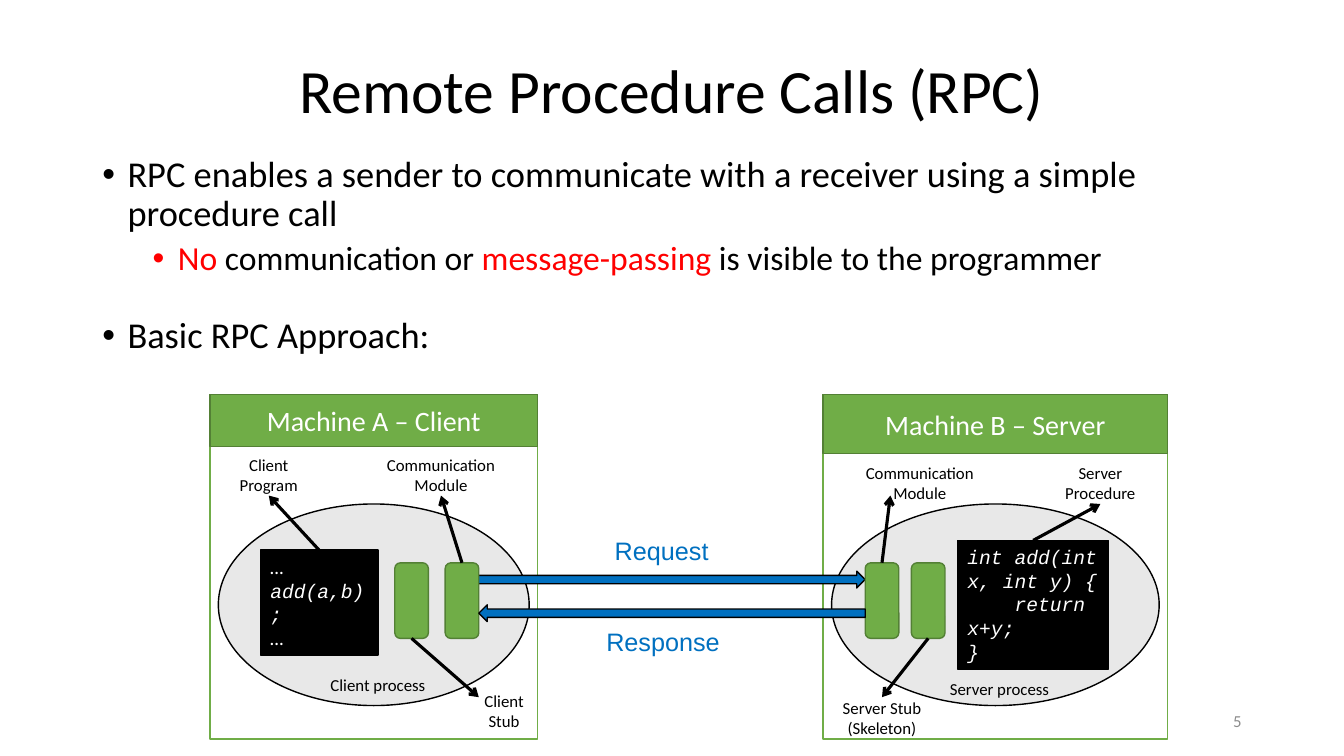
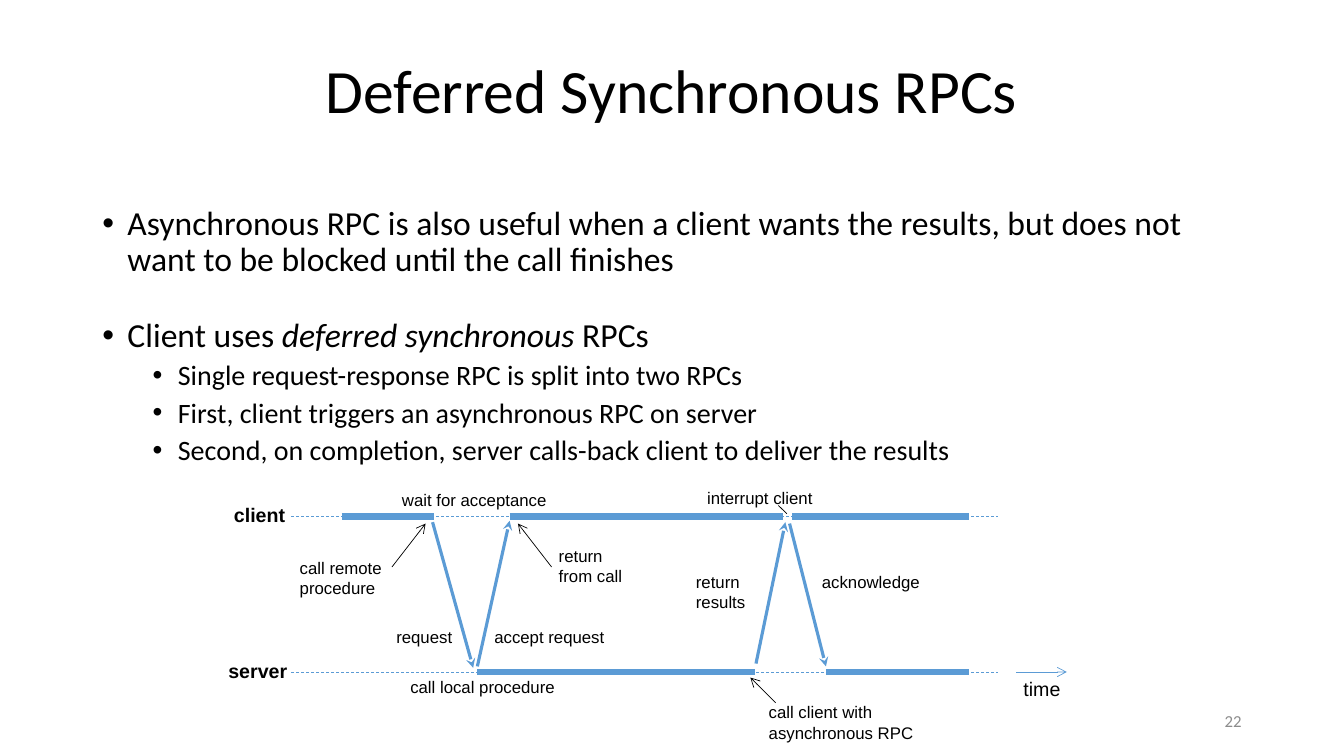
"""Build two slides on remote procedure calls: the basic approach and deferred synchronous calls."""
from lxml.etree import SubElement
from pptx import Presentation
from pptx.dml.color import RGBColor
from pptx.enum.dml import MSO_LINE
from pptx.enum.shapes import MSO_CONNECTOR, MSO_SHAPE
from pptx.enum.text import MSO_ANCHOR, PP_ALIGN
from pptx.oxml.ns import qn
from pptx.util import Pt

BLACK = RGBColor(0x00, 0x00, 0x00)
WHITE = RGBColor(0xFF, 0xFF, 0xFF)
RED = RGBColor(0xFF, 0x00, 0x00)
GRAY = RGBColor(0x8C, 0x8C, 0x8C)
GREEN = RGBColor(0x70, 0xAD, 0x47)
DARK_GREEN = RGBColor(0x53, 0x80, 0x35)
BLUE = RGBColor(0x00, 0x70, 0xC0)
LIGHT_BLUE = RGBColor(0x5B, 0x9B, 0xD5)

BODY, SANS, MONO = "Calibri", "Arial", "Courier New"
TOP, BOTTOM = 0, 2

# Bullets: level, size, space before, runs
RPC_BULLETS = [
    (0, 26, 0, ["RPC enables a sender to communicate with a receiver using a simple procedure call"]),
    (1, 24, 5, [("No", {"color": RED}), " communication or ",
                ("message-passing", {"color": RED}), " is visible to the programmer"]),
    (0, 26, 28, ["Basic RPC Approach:"]),
]
DEFERRED_BULLETS = [
    (0, 24, 0, ["Asynchronous RPC is also useful when a client wants the results, "
                "but does not want to be blocked until the call finishes"]),
    (0, 24, 28, ["Client uses ", ("deferred synchronous ", {"italic": True}), "RPCs"]),
    (1, 20, 5, ["Single request-response RPC is split into two RPCs"]),
    (1, 20, 5, ["First, client triggers an asynchronous RPC on server"]),
    (1, 20, 5, ["Second, on completion, server calls-back client to deliver the results"]),
]

ELLIPSIS = ("…", {"font": BODY})
MACHINES = [
    {"title": "Machine B – Server", "box": (588, 282, 246, 246), "head": 42,
     "code_box": (684, 386, 108, 92),
     "code": [["int add(int x, int y) {"], ["    return x+y;"], ["}"]]},
    {"title": "Machine A – Client", "box": (150, 282, 234, 246), "head": 37,
     "code_box": (186, 393, 84, 75),
     "code": [[ELLIPSIS], ["add(a,b);"], [ELLIPSIS]]},
]
STUBS = {"client stub": 282, "client module": 318, "server module": 618, "server stub": 651}
MACHINE_LABELS = {
    "client program": ("Client Program", (156, 324, 72, 30)),
    "client comm": ("Communication Module", (252, 324, 126, 30)),
    "client stub label": ("Client Stub", (330, 493, 60, 30)),
    "client process": ("Client process", (216, 474, 108, 30)),
    "server procedure": ("Server Procedure", (750, 330, 72, 30)),
    "server comm": ("Communication Module", (594, 330, 126, 30)),
    "server stub label": ("Server Stub (Skeleton)", (588, 498, 84, 30)),
    "server process": ("Server process", (660, 480, 108, 24)),
}
# Pointers: part, its side, end point, label joined there and its side
POINTERS = [
    ("client stub", BOTTOM, (342, 498), None, None),
    ("Machine A – Client", TOP, (192, 354), "client program", BOTTOM),
    ("client module", TOP, (315, 354), "client comm", BOTTOM),
    ("server module", TOP, (636, 354), None, None),
    ("server stub", BOTTOM, (630, 498), "server stub label", TOP),
    ("Machine B – Server", TOP, (786, 360), "server procedure", BOTTOM),
]
REQUEST, RESPONSE = (336, 408, 282, 12), (342, 432, 276, 12)
MESSAGE_LABELS = [("Request", (432, 379, 84, 29)), ("Response", (426, 444, 96, 29))]

CLIENT_Y, SERVER_Y = 369, 480
BARS = {CLIENT_Y: [(244, 310), (364, 559), (566, 692)],
        SERVER_Y: [(341, 539), (590, 692)]}
MESSAGES = [((309, 373), (338, 477)), ((341, 476), (364, 372)),
            ((540, 474), (561, 373)), ((564, 374), (590, 476))]
CALLOUTS = [((280, 405), (304, 374)), ((394, 405), (370, 374)), ((554, 502), (536, 484))]
AXIS_LABELS = [("client", (160, 356, 51, 24), True), ("server", (156, 467, 57, 24), True),
               ("time", (724, 480, 41, 24), False)]
TIMELINE_LABELS = [
    ("call remote procedure", (207, 395, 84, 36)),
    ("return from call", (392, 386, 60, 36)),
    ("wait for acceptance", (280, 346, 156, 22)),
    ("call local procedure", (286, 480, 144, 22)),
    ("request", (276, 444, 78, 22)),
    ("accept request", (346, 444, 132, 22)),
    ("interrupt client", (498, 345, 126, 22)),
    ("return results", (490, 405, 84, 36)),
    ("acknowledge", (580, 405, 108, 22)),
    ("call client with asynchronous RPC", (542, 498, 144, 36)),
]


def write_runs(p, runs, **base):
    for item in runs:
        text, extra = (item, {}) if isinstance(item, str) else item
        fmt = {**base, **extra}
        r = p.add_run()
        r.text = text
        r.font.size = Pt(fmt["size"])
        r.font.name = fmt["font"]
        r.font.color.rgb = fmt["color"]
        r.font.bold = fmt.get("bold", False)
        r.font.italic = fmt.get("italic", False)


def write(shape, paras, align=PP_ALIGN.LEFT, anchor=MSO_ANCHOR.TOP, wrap=True, spacing=1.0, **fmt):
    tf = shape.text_frame
    tf.word_wrap = wrap
    tf.vertical_anchor = anchor
    for i, runs in enumerate(paras):
        p = tf.add_paragraph() if i else tf.paragraphs[0]
        p.alignment = align
        p.line_spacing = spacing
        write_runs(p, runs, **{"font": BODY, "color": BLACK, **fmt})


def add_text(s, text, box, **fmt):
    tb = s.shapes.add_textbox(*map(Pt, box))
    write(tb, [[text]], **fmt)
    return tb


def add_bullets(s, bullets, box):
    tf = s.shapes.add_textbox(*map(Pt, box)).text_frame
    tf.word_wrap = True
    for i, (level, size, before, runs) in enumerate(bullets):
        p = tf.add_paragraph() if i else tf.paragraphs[0]
        p.level = level
        p.line_spacing = 0.9
        p.space_before = Pt(before)
        pPr = p._p.get_or_add_pPr()
        pPr.set("marL", str(Pt(18 + 36 * level)))
        pPr.set("indent", str(Pt(-18)))
        SubElement(pPr, qn("a:buFont")).set("typeface", SANS)
        SubElement(pPr, qn("a:buChar")).set("char", "•")
        write_runs(p, runs, size=size, font=BODY, color=BLACK)


def add_box(s, kind, box, fill, line, opacity=None):
    sp = s.shapes.add_shape(kind, *map(Pt, box))
    sp.shadow.inherit = False
    sp.fill.solid()
    sp.fill.fore_color.rgb = fill
    sp.line.color.rgb = line
    sp.line.width = Pt(1)
    if opacity:
        clr = sp._element.spPr.find(qn("a:solidFill"))[0]
        SubElement(clr, qn("a:alpha")).set("val", str(opacity * 1000))
    return sp


def add_line(s, start, end, color, width, head=None, dash=None):
    c = s.shapes.add_connector(MSO_CONNECTOR.STRAIGHT, *map(Pt, (*start, *end)))
    c.line.color.rgb = color
    c.line.width = Pt(width)
    if dash:
        c.line.dash_style = dash
    if head:
        SubElement(c.line._get_or_add_ln(), qn("a:tailEnd")).set("type", head)
    SubElement(c._element.spPr, qn("a:effectLst"))
    return c


def add_slide(prs, title, number):
    s = prs.slides.add_slide(prs.slide_layouts[6])
    add_text(s, title, (156, 25, 648, 83), size=44, spacing=0.9,
             align=PP_ALIGN.CENTER, anchor=MSO_ANCHOR.MIDDLE)
    add_text(s, str(number), (678, 500, 216, 29), size=12, color=GRAY,
             align=PP_ALIGN.RIGHT, anchor=MSO_ANCHOR.MIDDLE)
    return s


def add_machine(s, machine):
    x, y, w, h = machine["box"]
    add_box(s, MSO_SHAPE.RECTANGLE, machine["box"], WHITE, GREEN)
    head = add_box(s, MSO_SHAPE.RECTANGLE, (x, y, w, machine["head"]), GREEN, DARK_GREEN)
    write(head, [[machine["title"]]], size=20, color=WHITE,
          align=PP_ALIGN.CENTER, anchor=MSO_ANCHOR.MIDDLE)
    add_box(s, MSO_SHAPE.OVAL, (x + 6, y + 78, w - 12, 144), GRAY, BLACK, opacity=20)
    code = add_box(s, MSO_SHAPE.RECTANGLE, machine["code_box"], BLACK, BLACK)
    write(code, machine["code"], size=14, font=MONO, color=WHITE, italic=True)
    return code


def rpc_slide(prs):
    s = add_slide(prs, "Remote Procedure Calls (RPC)", 5)
    add_bullets(s, RPC_BULLETS, (66, 108, 804, 162))
    parts = {m["title"]: add_machine(s, m) for m in MACHINES}
    add_box(s, MSO_SHAPE.RIGHT_ARROW, REQUEST, BLUE, BLACK)
    for name, x in STUBS.items():
        parts[name] = add_box(s, MSO_SHAPE.FLOWCHART_ALTERNATE_PROCESS, (x, 402, 24, 54),
                              GREEN, DARK_GREEN)
    for name, (text, box) in MACHINE_LABELS.items():
        parts[name] = add_text(s, text, box, size=12, align=PP_ALIGN.CENTER,
                               anchor=MSO_ANCHOR.MIDDLE)
    for part, side, end, label, label_side in POINTERS:
        c = add_line(s, end, end, BLACK, 2.25, "arrow")
        c.begin_connect(parts[part], side)
        if label:
            c.end_connect(parts[label], label_side)
    add_box(s, MSO_SHAPE.RIGHT_ARROW, RESPONSE, BLUE, BLACK).rotation = 180
    for text, box in MESSAGE_LABELS:
        add_text(s, text, box, size=18, font=SANS, color=BLUE)


def deferred_slide(prs):
    s = add_slide(prs, "Deferred Synchronous RPCs", 22)
    add_bullets(s, DEFERRED_BULLETS, (66, 144, 828, 356))
    for y, bars in BARS.items():
        add_line(s, (208, y), (713, y), LIGHT_BLUE, 0.5, dash=MSO_LINE.DASH)
        for left, right in bars:
            add_line(s, (left, y), (right, y), LIGHT_BLUE, 4.5)
    for start, end in MESSAGES:
        add_line(s, start, end, LIGHT_BLUE, 2.25, "stealth")
    for start, end in CALLOUTS:
        add_line(s, start, end, BLACK, 0.5, "arrow")
    add_line(s, (556, 361), (562, 367), BLACK, 0.5)
    add_line(s, (726, SERVER_Y), (762, SERVER_Y), LIGHT_BLUE, 0.5, "arrow")
    for text, box, bold in AXIS_LABELS:
        add_text(s, text, box, size=14, font=SANS, bold=bold, wrap=False)
    for text, box in TIMELINE_LABELS:
        add_text(s, text, box, size=12, font=SANS)


def main():
    prs = Presentation()
    prs.slide_width, prs.slide_height = Pt(960), Pt(540)
    rpc_slide(prs)
    deferred_slide(prs)
    prs.save("out.pptx")


if __name__ == "__main__":
    main()
